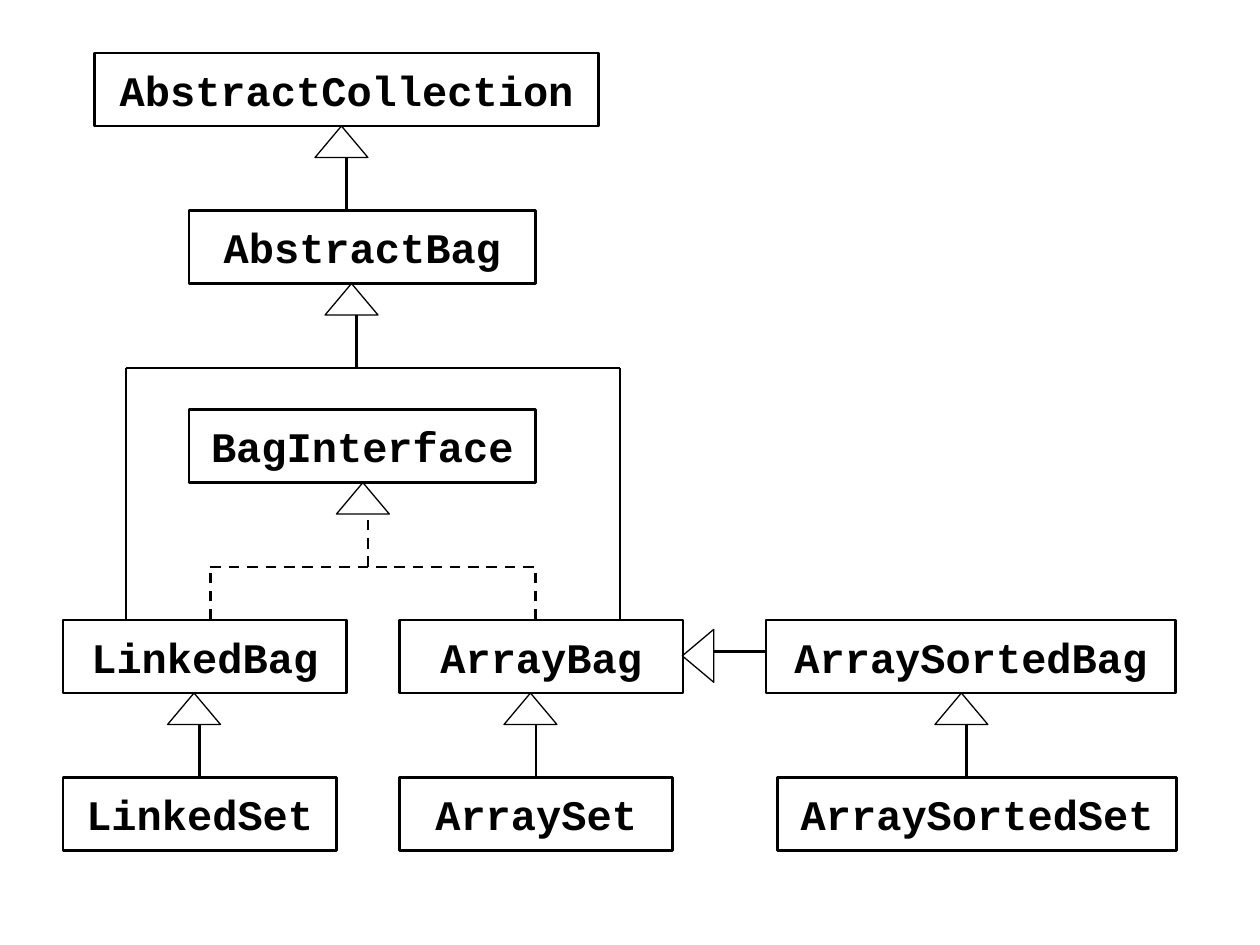
"""Draw the class hierarchy of the bag and set collections."""
from typing import NamedTuple, Optional

import pptx
from lxml import etree
from pptx import util as u
from pptx.dml.color import RGBColor
from pptx.enum import dml, shapes, text
from pptx.oxml import ns

BLACK = RGBColor(0, 0, 0)
WHITE = RGBColor(255, 255, 255)
BOX_HEIGHT = 0.58
STEM = 0.42
HEAD_WIDTH, HEAD_HEIGHT = 0.42, 0.25
HEAD_OFFSET = 0.25
BAG_TOP, SET_TOP = 4.92, 6.17
EXTENDS_TOP, IMPLEMENTS_TOP = 2.92, 4.5
LABEL_FONT = {"name": "Courier New", "size": u.Pt(24), "bold": True}
LABEL_FRAME = {"word_wrap": False, "vertical_anchor": text.MSO_ANCHOR.MIDDLE}


class ClassBox(NamedTuple):
    name: str
    left: float
    top: float
    width: float


class Segment(NamedTuple):
    x1: float
    y1: float
    x2: float
    y2: float
    dashed: bool = False


class Stem(NamedTuple):
    x: float
    bottom: float
    dashed: bool = False
    child: Optional[str] = None


CLASSES = [
    ClassBox("AbstractCollection", 0.75, 0.42, 4),
    ClassBox("AbstractBag", 1.5, 1.67, 2.75),
    ClassBox("BagInterface", 1.5, 3.25, 2.75),
    ClassBox("LinkedBag", 0.5, BAG_TOP, 2.25),
    ClassBox("ArrayBag", 3.17, BAG_TOP, 2.25),
    ClassBox("ArraySortedBag", 6.08, BAG_TOP, 3.25),
    ClassBox("LinkedSet", 0.5, SET_TOP, 2.17),
    ClassBox("ArraySet", 3.17, SET_TOP, 2.17),
    ClassBox("ArraySortedSet", 6.17, SET_TOP, 3.17),
]
SEGMENTS = [
    Segment(1, BAG_TOP, 1, EXTENDS_TOP),
    Segment(1, EXTENDS_TOP, 4.92, EXTENDS_TOP),
    Segment(4.92, BAG_TOP, 4.92, EXTENDS_TOP),
    Segment(1.67, BAG_TOP, 1.67, IMPLEMENTS_TOP, True),
    Segment(1.67, IMPLEMENTS_TOP, 4.25, IMPLEMENTS_TOP, True),
    Segment(4.25, BAG_TOP, 4.25, IMPLEMENTS_TOP, True),
    Segment(6.08, 5.17, 5.67, 5.17),
]
STEMS = [
    Stem(2.75, 1.67),
    Stem(2.83, EXTENDS_TOP),
    Stem(2.92, IMPLEMENTS_TOP, dashed=True),
    Stem(1.58, SET_TOP, child="LinkedSet"),
    Stem(4.25, SET_TOP, child="ArraySet"),
    Stem(7.67, SET_TOP),
]


def set_outline(line, width: float) -> None:
    line.color.rgb = BLACK
    line.width = u.Pt(width)


def apply_format(target, values: dict) -> None:
    for attribute, value in values.items():
        setattr(target, attribute, value)


def draw_class(slide, box: ClassBox):
    frame = slide.shapes.add_shape(
        shapes.MSO_SHAPE.RECTANGLE,
        *map(u.Inches, (box.left, box.top, box.width, BOX_HEIGHT)))
    frame.shadow.inherit = False
    frame.fill.solid()
    frame.fill.fore_color.rgb = WHITE
    set_outline(frame.line, 1.5)
    apply_format(frame.text_frame, LABEL_FRAME)
    label = frame.text_frame.paragraphs[0]
    label.alignment = text.PP_ALIGN.CENTER
    run = label.add_run()
    run.text = box.name
    apply_format(run.font, LABEL_FONT)
    run.font.color.rgb = BLACK
    return frame


def draw_segment(slide, segment: Segment):
    connector = slide.shapes.add_connector(
        shapes.MSO_CONNECTOR.STRAIGHT, *map(u.Inches, segment[:4]))
    set_outline(connector.line, 1.5)
    if segment.dashed:
        connector.line.dash_style = dml.MSO_LINE.DASH
    etree.SubElement(connector._element.spPr, ns.qn("a:effectLst"))
    return connector


def draw_head(slide, left: float, top: float, rotation: float = 0) -> None:
    head = slide.shapes.add_shape(
        shapes.MSO_SHAPE.ISOSCELES_TRIANGLE,
        *map(u.Inches, (left, top, HEAD_WIDTH, HEAD_HEIGHT)))
    head.shadow.inherit = False
    head.fill.background()
    set_outline(head.line, 0.75)
    head.rotation = rotation


def draw_stem(slide, stem: Stem, frames: dict) -> None:
    top = stem.bottom - STEM
    connector = draw_segment(
        slide, Segment(stem.x, stem.bottom, stem.x, top, stem.dashed))
    if stem.child:
        connector.begin_connect(frames[stem.child], 0)
        connector.end_x = connector.begin_x
    draw_head(slide, stem.x - HEAD_OFFSET, top - HEAD_HEIGHT)


def main() -> None:
    deck = pptx.Presentation()
    deck.slide_width, deck.slide_height = u.Inches(10), u.Inches(7.5)
    slide = deck.slides.add_slide(deck.slide_layouts[6])
    frames = {box.name: draw_class(slide, box) for box in CLASSES}
    for segment in SEGMENTS:
        draw_segment(slide, segment)
    for stem in STEMS:
        draw_stem(slide, stem, frames)
    draw_head(slide, 5.33, 5.08, rotation=270)
    deck.save("out.pptx")


if __name__ == "__main__":
    main()
